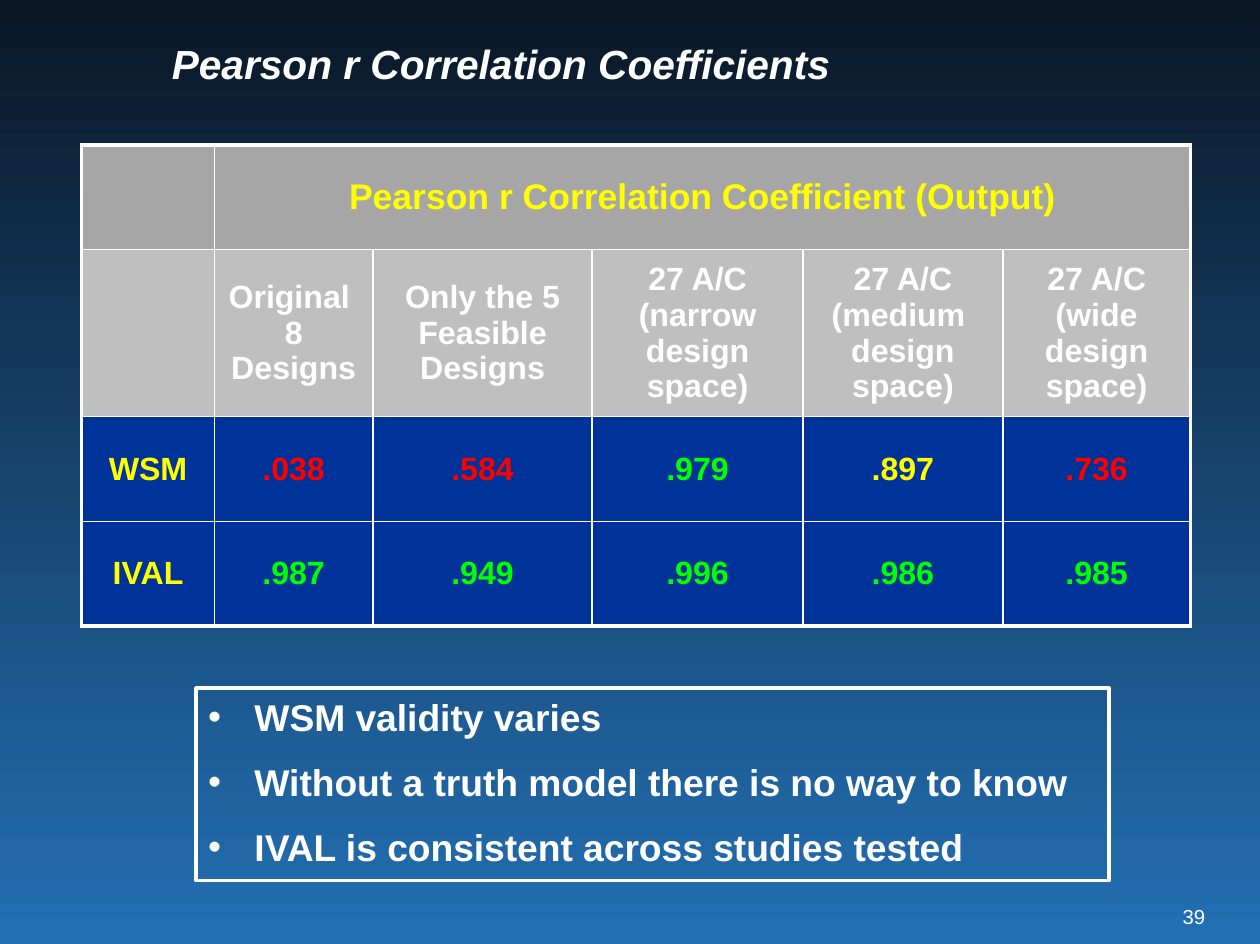
from lxml.etree import SubElement
from pptx import Presentation
from pptx.dml.color import RGBColor
from pptx.enum.shapes import MSO_SHAPE
from pptx.enum.text import MSO_ANCHOR, MSO_AUTO_SIZE, PP_ALIGN
from pptx.oxml.ns import qn
from pptx.util import Emu, Pt

PX = 9144
WHITE = RGBColor(0xFF, 0xFF, 0xFF)
YELLOW = RGBColor(0xFF, 0xFF, 0x00)
RED = RGBColor(0xFF, 0x00, 0x00)
GREEN = RGBColor(0x00, 0xFF, 0x00)
NAVY = RGBColor(0x00, 0x33, 0x99)
GREY = RGBColor(0xA6, 0xA6, 0xA6)
SILVER = RGBColor(0xBF, 0xBF, 0xBF)
SKY_TOP = RGBColor(0x0A, 0x17, 0x26)
SKY_BOTTOM = RGBColor(0x23, 0x70, 0xB4)

COLS = [109, 130, 180, 173, 164, 154]
ROWS = [86, 137, 86, 86]
ROW_FILLS = [GREY, SILVER, NAVY, NAVY]
HEADING = "Pearson r Correlation Coefficient (Output)"
DESIGNS = ["Original  8 Designs", "Only the 5 Feasible Designs",
           "27 A/C (narrow design space)", "27 A/C (medium  design space)",
           "27 A/C (wide design space)"]
RESULTS = [
    [("WSM", YELLOW), (".038", RED), (".584", RED), (".979", GREEN),
     (".897", YELLOW), (".736", RED)],
    [("IVAL", YELLOW)] + [(v, GREEN) for v in
                          (".987", ".949", ".996", ".986", ".985")],
]
FINDINGS = ["WSM validity varies",
            "Without a truth model there is no way to know",
            "IVAL is consistent across studies tested"]


def px(n):
    """Turn a whole number of px into EMU."""
    return Emu(n * PX)


def box(x, y, w, h):
    """Return a position and size in EMU."""
    return [px(n) for n in (x, y, w, h)]


def apply(obj, **values):
    """Set each named attribute of an object."""
    for name, value in values.items():
        setattr(obj, name, value)


def write(p, text, size, color, bold=True, italic=False, **layout):
    """Fill a paragraph with one formatted run."""
    apply(p, **layout)
    r = p.add_run()
    r.text = text
    apply(r.font, name="Arial", size=Pt(size), bold=bold, italic=italic)
    r.font.color.rgb = color


def add_background(s):
    """Paint the vertical gradient behind the slide."""
    fill = s.background.fill
    fill.gradient()
    fill.gradient_angle = 270
    for stop, position, color in zip(fill.gradient_stops, (0, 1),
                                     (SKY_TOP, SKY_BOTTOM)):
        stop.position = position
        stop.color.rgb = color


def add_title(s, text):
    """Place and format the title."""
    sp = s.shapes.title
    sp.left, sp.top, sp.width, sp.height = box(131, 0, 722, 108)
    tf = sp.text_frame
    apply(tf, vertical_anchor=MSO_ANCHOR.MIDDLE, word_wrap=True,
          auto_size=MSO_AUTO_SIZE.NONE)
    write(tf.paragraphs[0], text, 24, WHITE, italic=True,
          alignment=PP_ALIGN.LEFT, line_spacing=Pt(26))


def set_borders(cell, **widths):
    """Draw white cell borders, with widths in points by side."""
    tcPr = cell._tc.get_or_add_tcPr()
    for side, width in widths.items():
        ln = SubElement(tcPr, qn(f"a:ln{side}"), w=str(Pt(width)))
        fill = SubElement(ln, qn("a:solidFill"))
        SubElement(fill, qn("a:srgbClr"), val=str(WHITE))


def format_cell(cell, row, col):
    """Give a cell its borders, fill and anchor."""
    outer = {"L": col == 0, "R": col + cell.span_width == len(COLS),
             "T": row == 0, "B": row == len(ROWS) - 1}
    set_borders(cell, **{k: 2.25 if v else 1 for k, v in outer.items()})
    cell.fill.solid()
    cell.fill.fore_color.rgb = ROW_FILLS[row]
    cell.vertical_anchor = MSO_ANCHOR.MIDDLE


def add_results(s):
    """Add the table of correlation coefficients."""
    table = s.shapes.add_table(len(ROWS), len(COLS),
                               *box(67, 119, sum(COLS), sum(ROWS))).table
    apply(table, first_row=False, horz_banding=False)
    for column, width in zip(table.columns, COLS):
        column.width = px(width)
    for row, height in zip(table.rows, ROWS):
        row.height = px(height)
    table.cell(0, 1).merge(table.cell(0, len(COLS) - 1))
    blank = ("", WHITE)
    content = [[blank, (HEADING, YELLOW)] + [blank] * 4,
               [blank] + [(text, WHITE) for text in DESIGNS]] + RESULTS
    for i, line in enumerate(content):
        for j, (text, color) in enumerate(line):
            cell = table.cell(i, j)
            format_cell(cell, i, j)
            if text:
                write(cell.text_frame.paragraphs[0], text, 19 if i else 21,
                      color, alignment=PP_ALIGN.CENTER, space_before=Pt(4.6))


def set_bullet(p, indent):
    """Give a paragraph a round bullet with a hanging indent."""
    pPr = p._p.get_or_add_pPr()
    pPr.set("marL", str(px(indent)))
    pPr.set("indent", str(px(-indent)))
    SubElement(pPr, qn("a:buFont"), typeface="Arial")
    SubElement(pPr, qn("a:buChar"), char="•")


def add_findings(s):
    """Add the outlined box of bulleted findings."""
    sp = s.shapes.add_shape(MSO_SHAPE.RECTANGLE, *box(161, 565, 749, 158))
    sp.shadow.inherit = False
    sp.fill.background()
    sp.line.color.rgb = WHITE
    sp.line.width = Pt(2.25)
    tf = sp.text_frame
    apply(tf, word_wrap=True, vertical_anchor=MSO_ANCHOR.TOP,
          auto_size=MSO_AUTO_SIZE.SHAPE_TO_FIT_TEXT)
    for i, text in enumerate(FINDINGS):
        p = tf.add_paragraph() if i else tf.paragraphs[0]
        write(p, text, 22, WHITE, alignment=PP_ALIGN.LEFT, space_before=Pt(12))
        set_bullet(p, 38)


def add_page_number(s, text):
    """Add the page number at the bottom right."""
    tf = s.shapes.add_textbox(*box(969, 742, 20, 20)).text_frame
    apply(tf, margin_left=0, margin_right=0, margin_top=0, margin_bottom=0,
          word_wrap=False, auto_size=MSO_AUTO_SIZE.SHAPE_TO_FIT_TEXT)
    write(tf.paragraphs[0], text, 12, WHITE, bold=False,
          alignment=PP_ALIGN.RIGHT)


def main():
    """Build the slide and save it."""
    prs = Presentation()
    apply(prs, slide_width=px(1034), slide_height=px(775))
    s = prs.slides.add_slide(prs.slide_layouts[5])
    add_background(s)
    add_page_number(s, "39")
    add_title(s, "Pearson r Correlation Coefficients")
    add_findings(s)
    add_results(s)
    prs.save("out.pptx")


if __name__ == "__main__":
    main()
